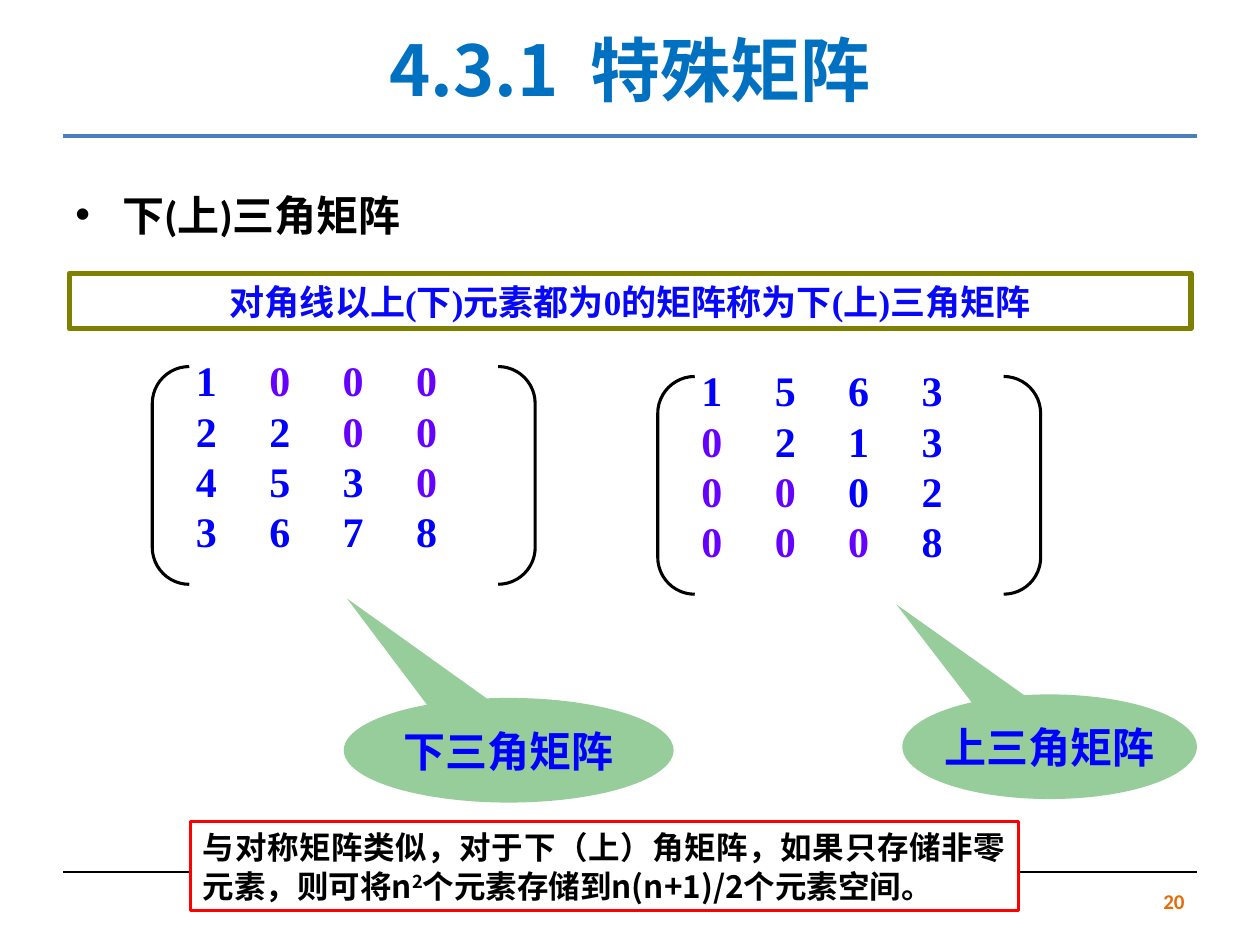
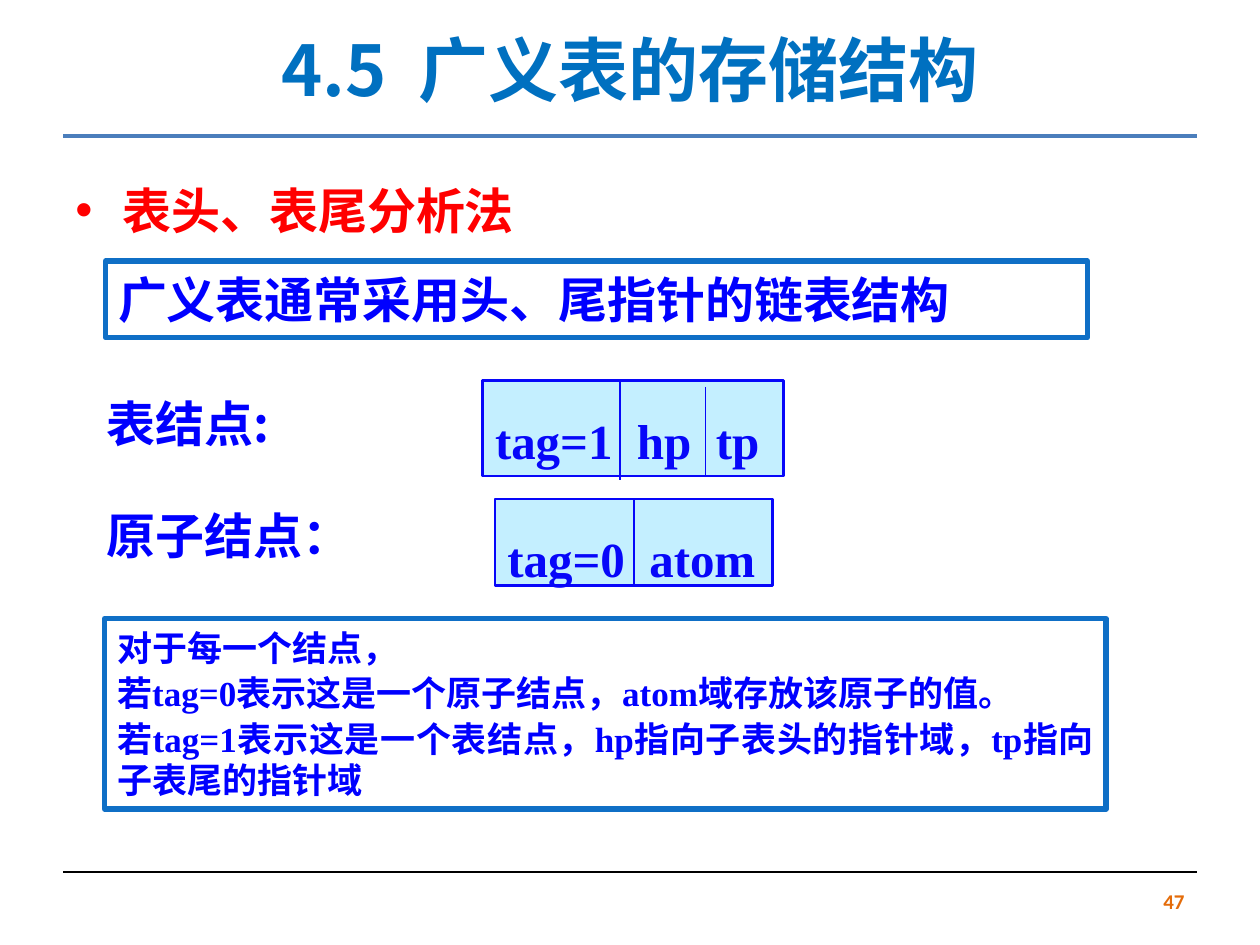
from dataclasses import dataclass
from typing import Optional

from lxml import etree
from pptx import Presentation
from pptx.dml.color import RGBColor
from pptx.enum.shapes import MSO_CONNECTOR, MSO_SHAPE
from pptx.enum.text import MSO_ANCHOR, PP_ALIGN
from pptx.oxml.ns import qn
from pptx.util import Cm, Pt

RECTANGLE = MSO_SHAPE.RECTANGLE
BRACKETS = MSO_SHAPE.DOUBLE_BRACKET
CALLOUT = MSO_SHAPE.OVAL_CALLOUT
STRAIGHT = MSO_CONNECTOR.STRAIGHT
TOP, MIDDLE = MSO_ANCHOR.TOP, MSO_ANCHOR.MIDDLE
LEFT, CENTER, RIGHT = PP_ALIGN.LEFT, PP_ALIGN.CENTER, PP_ALIGN.RIGHT
JUSTIFY = PP_ALIGN.JUSTIFY
TITLE_ONLY = 5


@dataclass(frozen=True)
class Theme:
    sans: str = "Calibri"
    serif: str = "Times New Roman"
    callout: str = "TeX Gyre Pagella"
    chinese: str = "Noto Sans CJK SC"
    title: str = "0070C0"
    header_rule: str = "4B7EBC"
    number: str = "E46C0A"
    black: str = "000000"
    white: str = "FFFFFF"
    red: str = "FF0000"
    blue: str = "0000FF"
    node_blue: str = "0707F9"
    violet: str = "6600FF"
    olive: str = "808000"
    frame: str = "0F6FC6"
    green: str = "97CD9A"
    pale_blue: str = "C4EFFF"
    title_size: float = 40
    large: float = 28
    medium: float = 24
    body: float = 20
    note: float = 18
    small: float = 12


THEME = Theme()


@dataclass(frozen=True)
class Box:
    """Position and size in centimetres."""
    left: float
    top: float
    width: float
    height: float


@dataclass(frozen=True)
class Style:
    font: str
    size: float
    color: str
    align: PP_ALIGN = LEFT
    anchor: MSO_ANCHOR = MIDDLE
    spacing: Optional[float] = None  # a multiple below 3, else points
    before: float = 0
    tabs: tuple[float, ...] = ()
    wrap: bool = True


@dataclass(frozen=True)
class Span:
    text: str
    color: Optional[str] = None
    raised: bool = False


@dataclass(frozen=True)
class Matrix:
    left: float
    top: float
    rows: tuple[str, ...]
    lower: bool


@dataclass(frozen=True)
class Callout:
    box: Box
    text: str
    tip: tuple[float, float]


@dataclass(frozen=True)
class Divider:
    offset: float
    top_inset: float = 0
    overhang: float = 0


@dataclass(frozen=True)
class Node:
    box: Box
    fields: tuple[str, ...]
    dividers: tuple[Divider, ...]


COLUMN_STEP = 1.48
FIELD_TABS = (2.86, 4.45)
TITLE_STYLE = Style(THEME.chinese, THEME.title_size, THEME.title, CENTER)
NUMBER_STYLE = Style(THEME.sans, THEME.small, THEME.number, RIGHT)
MATRIX_STYLE = Style(THEME.serif, THEME.medium, THEME.blue, anchor=TOP, spacing=28.75,
                     tabs=tuple(COLUMN_STEP * step for step in (1, 2, 3)))
CALLOUT_STYLE = Style(THEME.callout, THEME.medium, THEME.blue, CENTER, wrap=False)
LABEL_STYLE = Style(THEME.chinese, THEME.large, THEME.blue)
NODE_STYLE = Style(THEME.serif, THEME.large, THEME.node_blue, anchor=TOP,
                   spacing=1.4, before=5.6, tabs=FIELD_TABS)

MATRICES = (
    Matrix(3.07, 7.39, ("1000", "2200", "4530", "3678"), lower=True),
    Matrix(13.26, 7.59, ("1563", "0213", "0002", "0008"), lower=False),
)
CALLOUTS = (
    Callout(Box(6.93, 14.07, 6.65, 2.11), "下三角矩阵", (-0.49, -1.45)),
    Callout(Box(18.19, 14, 5.94, 2.11), "上三角矩阵", (-0.52, -1.36)),
)
NODES = (
    Node(Box(9.73, 7.67, 6.07, 1.93), ("tag=1", "hp", "tp"),
         (Divider(2.77, overhang=0.08), Divider(4.49, 0.13, -0.03))),
    Node(Box(9.98, 10.06, 5.59, 1.75), ("tag=0", "atom"), (Divider(2.8),)),
)


def rgb(color: str) -> RGBColor:
    return RGBColor.from_string(color)


def lengths(box: Box) -> tuple:
    return Cm(box.left), Cm(box.top), Cm(box.width), Cm(box.height)


# Text
def format_paragraph(paragraph, style: Style) -> None:
    paragraph.alignment = style.align
    paragraph.space_before = Pt(style.before)
    if style.spacing:
        paragraph.line_spacing = style.spacing if style.spacing < 3 else Pt(style.spacing)
    font = paragraph.font
    font.name, font.size, font.bold = style.font, Pt(style.size), True
    font.color.rgb = rgb(style.color)
    defaults = paragraph._p.pPr.find(qn("a:defRPr"))
    etree.SubElement(defaults, qn("a:ea"), typeface=THEME.chinese)
    if style.tabs:
        tab_list = etree.Element(qn("a:tabLst"))
        for position in style.tabs:
            etree.SubElement(tab_list, qn("a:tab"), pos=str(int(Cm(position))), algn="l")
        defaults.addprevious(tab_list)


def write(shape, paragraphs: list[list[Span]], style: Style) -> None:
    frame = shape.text_frame
    frame.word_wrap = style.wrap
    frame.vertical_anchor = style.anchor
    for index, spans in enumerate(paragraphs):
        paragraph = frame.add_paragraph() if index else frame.paragraphs[0]
        for span in spans:
            run = paragraph.add_run()
            run.text = span.text
            if span.color:
                run.font.color.rgb = rgb(span.color)
            if span.raised:
                run._r.get_or_add_rPr().set("baseline", "30000")
        format_paragraph(paragraph, style)


def add_text(slide, box: Box, text: str, style: Style):
    shape = slide.shapes.add_textbox(*lengths(box))
    write(shape, [[Span(text)]], style)
    return shape


# Shapes and lines
def add_preset(shapes, preset: MSO_SHAPE, box: Box, fill: Optional[str] = None,
               line: Optional[str] = None, width: float = 1.5):
    shape = shapes.add_shape(preset, *lengths(box))
    shape.shadow.inherit = False
    if fill:
        shape.fill.solid()
        shape.fill.fore_color.rgb = rgb(fill)
    else:
        shape.fill.background()
    if line:
        shape.line.color.rgb = rgb(line)
        shape.line.width = Pt(width)
    else:
        shape.line.fill.background()
    return shape


def add_line(shapes, start: tuple[float, float], end: tuple[float, float],
             color: str, width: float) -> None:
    connector = shapes.add_connector(STRAIGHT, *(Cm(value) for value in start + end))
    connector.line.color.rgb = rgb(color)
    connector.line.width = Pt(width)
    etree.SubElement(connector._element.spPr, qn("a:effectLst"))


# Shared slide frame
def add_slide(presentation, title: str, number: str):
    slide = presentation.slides.add_slide(presentation.slide_layouts[TITLE_ONLY])
    heading = slide.shapes.title
    heading.left, heading.top, heading.width, heading.height = lengths(Box(1.27, 0, 22.86, 2.77))
    write(heading, [[Span(title)]], TITLE_STYLE)
    add_line(slide.shapes, (1.27, 2.74), (24.13, 2.74), THEME.header_rule, 2.75)
    add_line(slide.shapes, (1.27, 17.58), (24.13, 17.58), THEME.black, 0.75)
    add_text(slide, Box(18.21, 17.65, 5.92, 1.02), number, NUMBER_STYLE)
    return slide


def add_bullet(slide, text: str, size: float, color: str) -> None:
    style = Style(THEME.sans, size, color, JUSTIFY, TOP, spacing=31, before=2)
    shape = add_text(slide, Box(1.27, 3.61, 22.86, 1.5), text, style)
    properties = shape.text_frame.paragraphs[0]._p.pPr
    properties.set("marL", str(int(Cm(0.95))))
    properties.set("indent", str(int(Cm(-0.95))))
    defaults = properties.find(qn("a:defRPr"))
    for tag, attributes in (("a:buFont", {"typeface": "Arial"}), ("a:buChar", {"char": "•"})):
        defaults.addprevious(etree.Element(qn(tag), attributes))


# Diagram parts
def add_matrix(slide, matrix: Matrix) -> None:
    brackets = add_preset(slide.shapes, BRACKETS, Box(matrix.left, matrix.top, 7.72, 4.39),
                          line=THEME.black, width=1.75)
    brackets.adjustments[0] = 0.17
    paragraphs = []
    for row, digits in enumerate(matrix.rows):
        spans = []
        for column, digit in enumerate(digits):
            outside = column > row if matrix.lower else column < row
            text = f"\t{digit}" if column else digit
            spans.append(Span(text, THEME.violet if outside else None))
        paragraphs.append(spans)
    box = Box(matrix.left + 0.63, matrix.top - 0.36, 8.48, 4.37)
    write(slide.shapes.add_textbox(*lengths(box)), paragraphs, MATRIX_STYLE)


def add_callout(slide, callout: Callout) -> None:
    shape = add_preset(slide.shapes, CALLOUT, callout.box, fill=THEME.green)
    shape.adjustments[0], shape.adjustments[1] = callout.tip
    write(shape, [[Span(callout.text)]], CALLOUT_STYLE)


def add_node(slide, node: Node) -> None:
    shapes = slide.shapes.add_group_shape().shapes
    box = node.box
    cell = add_preset(shapes, RECTANGLE, box, THEME.pale_blue, THEME.node_blue)
    cell.text_frame.margin_right = 0
    write(cell, [[Span("\t".join(node.fields))]], NODE_STYLE)
    for divider in node.dividers:
        x = box.left + divider.offset
        add_line(shapes, (x, box.top + divider.top_inset),
                 (x, box.top + box.height + divider.overhang), THEME.node_blue, 0.75)


# Slides
def build_triangular_slide(presentation) -> None:
    slide = add_slide(presentation, "4.3.1  特殊矩阵", "20")
    add_bullet(slide, "下(上)三角矩阵", THEME.medium, THEME.black)
    definition = add_preset(slide.shapes, RECTANGLE, Box(1.4, 5.51, 22.61, 1.12),
                            line=THEME.olive, width=3)
    write(definition, [[Span("对角线以上(下)元素都为0的矩阵称为下(上)三角矩阵")]],
          Style(THEME.serif, THEME.body, THEME.node_blue, CENTER))
    for matrix in MATRICES:
        add_matrix(slide, matrix)
    for callout in CALLOUTS:
        add_callout(slide, callout)
    storage = add_preset(slide.shapes, RECTANGLE, Box(3.84, 16.56, 16.69, 1.8),
                         THEME.white, THEME.red)
    write(storage, [[
        Span("与对称矩阵类似，对于下（上）角矩阵，如果只存储非零元素，则可将n"),
        Span("2", raised=True),
        Span("个元素存储到n(n+1)/2个元素空间。"),
    ]], Style(THEME.chinese, THEME.note, THEME.black, JUSTIFY, spacing=22))


def build_list_slide(presentation) -> None:
    slide = add_slide(presentation, "4.5  广义表的存储结构", "47")
    add_bullet(slide, "表头、表尾分析法", THEME.large, THEME.red)
    structure = add_preset(slide.shapes, RECTANGLE, Box(2.13, 5.26, 19.79, 1.55),
                           line=THEME.frame, width=3)
    write(structure, [[Span("广义表通常采用头、尾指针的链表结构")]],
          Style(THEME.serif, THEME.large, THEME.blue))
    for label, top in (("表结点:", 7.8), ("原子结点：", 10.06)):
        add_text(slide, Box(1.9, top, 6.6, 1.45), label, LABEL_STYLE)
    for node in NODES:
        add_node(slide, node)
    explanation = add_preset(slide.shapes, RECTANGLE, Box(2.11, 12.47, 20.19, 3.84),
                             line=THEME.frame, width=3)
    write(explanation, [[Span(line)] for line in (
        "对于每一个结点，",
        "若tag=0表示这是一个原子结点，atom域存放该原子的值。",
        "若tag=1表示这是一个表结点，hp指向子表头的指针域，tp指向子表尾的指针域",
    )], Style(THEME.serif, THEME.body, THEME.blue, JUSTIFY, spacing=23.5, before=2.5))


def main() -> None:
    presentation = Presentation()
    presentation.slide_width, presentation.slide_height = Cm(25.4), Cm(19.05)
    build_triangular_slide(presentation)
    build_list_slide(presentation)
    presentation.save("out.pptx")


if __name__ == "__main__":
    main()
